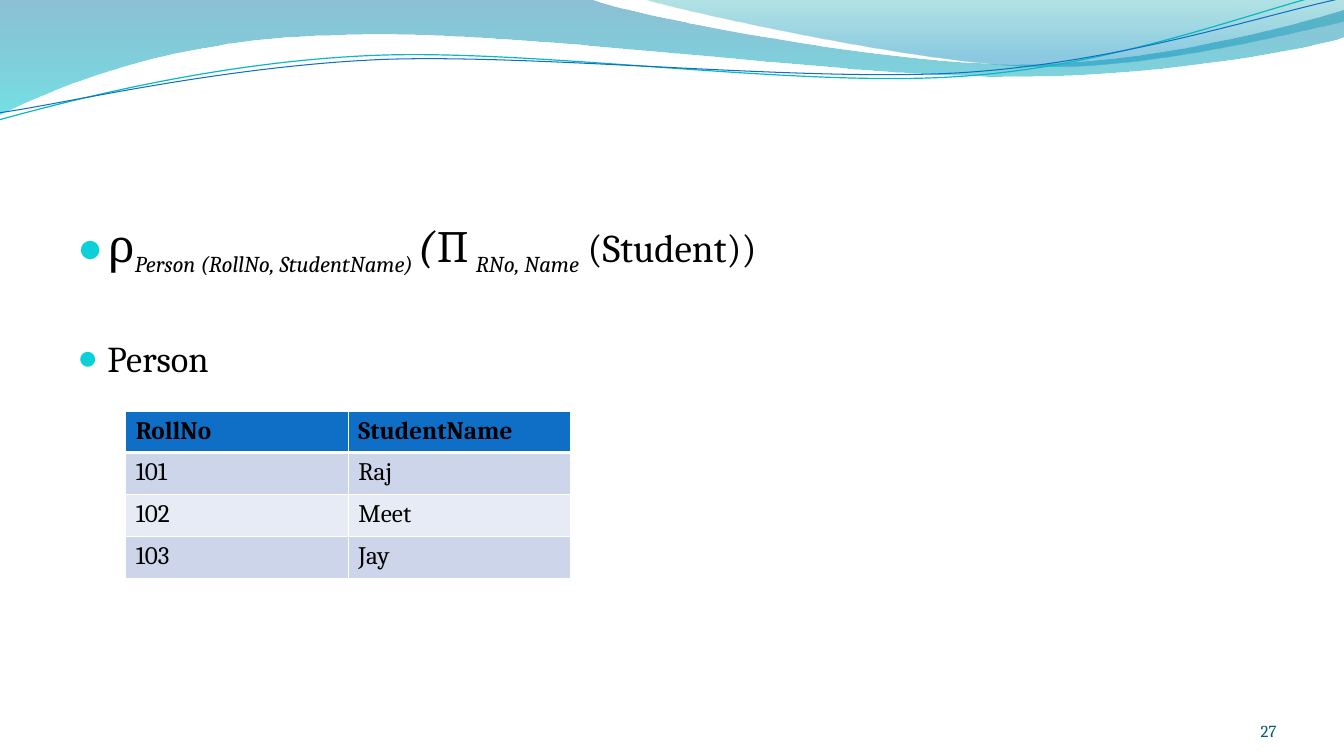
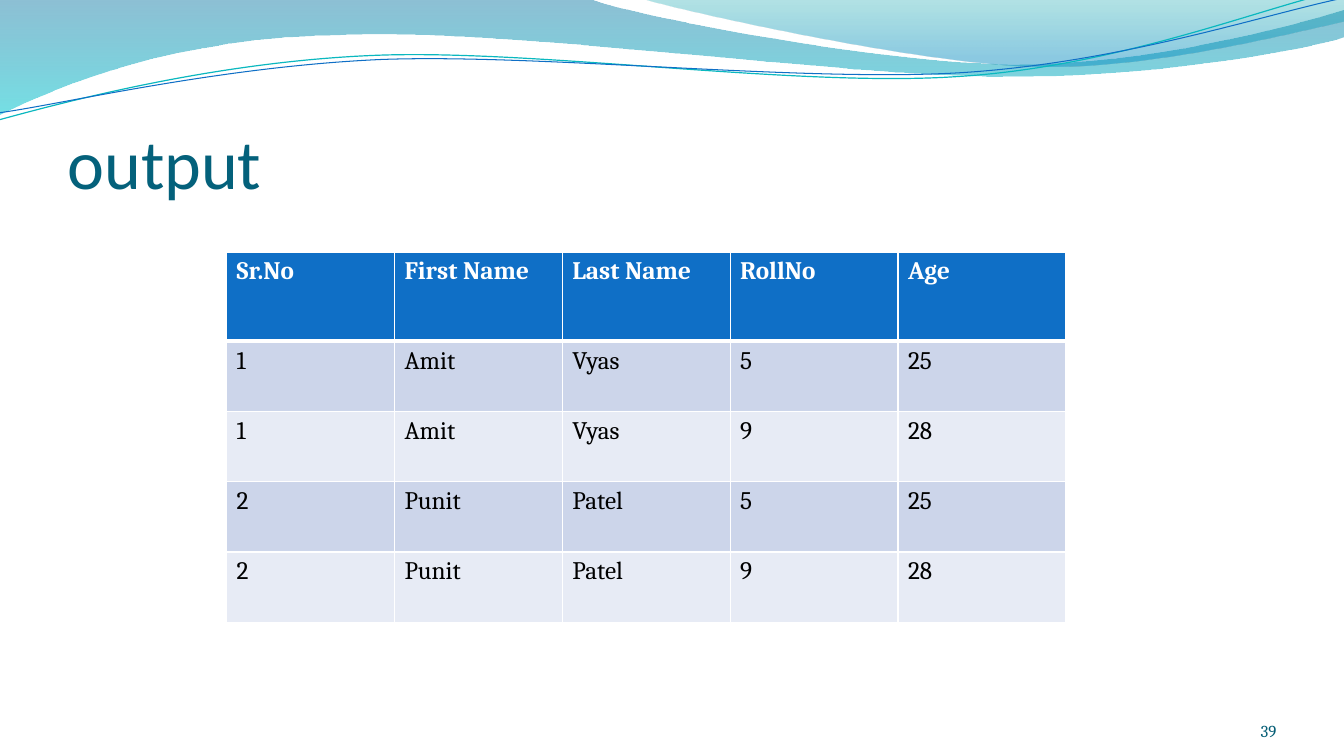
from dataclasses import dataclass
from itertools import chain
from typing import Optional

from lxml.etree import SubElement
from pptx import Presentation
from pptx.dml.color import RGBColor
from pptx.enum.text import MSO_ANCHOR, PP_ALIGN
from pptx.oxml.ns import qn
from pptx.shapes.autoshape import Shape
from pptx.slide import Slide
from pptx.table import _Cell
from pptx.text.text import TextFrame, _Paragraph
from pptx.util import Cm, Pt

BLACK = RGBColor(0x00, 0x00, 0x00)
WHITE = RGBColor(0xFF, 0xFF, 0xFF)
TITLE_TEAL = RGBColor(0x04, 0x61, 0x7B)
NUMBER_TEAL = RGBColor(0x04, 0x5D, 0x75)
BULLET_AQUA = RGBColor(0x0B, 0xD0, 0xD9)
HEADER_BLUE = RGBColor(0x0F, 0x6F, 0xC6)
ODD_ROW = RGBColor(0xCC, 0xD5, 0xEA)
EVEN_ROW = RGBColor(0xE7, 0xEB, 0xF5)
STRAND_TEAL = RGBColor(0x0A, 0xB8, 0xBF)
BAND_BLUE = RGBColor(0x00, 0x74, 0xA1)
BAND_AQUA = RGBColor(0x00, 0xC6, 0xCF)
CREST_TEAL = RGBColor(0x00, 0xA1, 0xA9)
CREST_BLUE = RGBColor(0x00, 0x8B, 0xBF)

BODY_FONT = "Cambria"
TITLE_FONT = "Calibri"
SUBSCRIPT = -25000

Point = tuple[float, float]


@dataclass(frozen=True)
class Stop:
    position: float
    color: RGBColor
    opacity: int


@dataclass(frozen=True)
class Wave:
    start: Point
    segments: tuple[tuple[Point, ...], ...]
    stops: tuple[Stop, ...] = ()
    stroke: Optional[RGBColor] = None
    weight: float = 0


@dataclass(frozen=True)
class Words:
    text: str
    size: float
    color: RGBColor = BLACK
    font: str = BODY_FONT
    bold: bool = False
    italic: bool = False
    baseline: int = 0


@dataclass(frozen=True)
class Grid:
    left: float
    top: float
    column_width: float
    header_height: float
    row_height: float
    header_color: RGBColor
    header_anchor: MSO_ANCHOR
    rows: tuple[tuple[str, ...], ...]


WAVES = (
    Wave(
        (0, 0),
        (
            ((14.91, -0.02),),
            ((16.1, 0.43), (22.45, 1.61), (25.68, 1.61)),
            ((28.88, 1.61), (32.44, 0.67), (33.86, 0.24)),
            ((33.88, 0.93),),
            ((33.3, 1.13), (29.44, 1.94), (25.25, 1.92)),
            ((21.06, 1.91), (12.93, 0.72), (8.71, 0.87)),
            ((4.37, 0.92), (1.55, 2.12), (-0.02, 2.88)),
        ),
        stops=(Stop(0, BAND_BLUE, 45), Stop(1, BAND_AQUA, 55)),
    ),
    Wave(
        (16.23, -0.02),
        (
            ((17.25, 0.28), (23.09, 1.58), (26.04, 1.66)),
            ((28.96, 1.75), (32.56, 0.81), (33.86, 0.54)),
            ((33.86, 0),),
        ),
        stops=(Stop(0, CREST_TEAL, 30), Stop(0.8, CREST_BLUE, 45)),
    ),
    Wave(
        (-0.02, 3.02),
        (
            ((1.63, 2.57), (5.36, 1.57), (9.37, 1.4)),
            ((13.39, 1.22), (20.04, 2.21), (24.13, 1.93)),
            ((28.19, 1.68), (31.78, 0.2), (33.81, -0.25)),
        ),
        stroke=STRAND_TEAL,
        weight=0.85,
    ),
    Wave(
        (0, 2.84),
        (
            ((1.6, 2.62), (5.54, 1.68), (9.6, 1.5)),
            ((13.64, 1.35), (20.22, 2.08), (24.26, 1.83)),
            ((28.3, 1.57), (31.88, 0.36), (33.86, -0.05)),
        ),
        stroke=HEADER_BLUE,
        weight=0.75,
    ),
)

EXPRESSION = (
    Words("ρ", 32),
    Words("Person (RollNo, StudentName) ", 28, italic=True, baseline=SUBSCRIPT),
    Words("(", 32, italic=True),
    Words("∏", 32),
    Words(" RNo, Name", 28, italic=True, baseline=SUBSCRIPT),
    Words(" (Student))", 28),
)

PERSON = Grid(
    3.17, 10.36, 5.61, 1.04, 1.06, BLACK, MSO_ANCHOR.MIDDLE,
    (("RollNo", "StudentName"), ("101", "Raj"), ("102", "Meet"), ("103", "Jay")),
)

OUTPUT = Grid(
    5.71, 6.35, 4.23, 2.25, 1.77, WHITE, MSO_ANCHOR.TOP,
    (
        ("Sr.No", "First Name", "Last Name", "RollNo", "Age"),
        ("1", "Amit", "Vyas", "5", "25"),
        ("1", "Amit", "Vyas", "9", "28"),
        ("2", "Punit", "Patel", "5", "25"),
        ("2", "Punit", "Patel", "9", "28"),
    ),
)


def bend(outline: Shape, segments: tuple[tuple[Point, ...], ...]) -> None:
    lines = iter(list(outline._element.iter(qn("a:lnTo"))))
    for segment in segments:
        first, *others = [next(lines) for _ in segment]
        if others:
            first.tag = qn("a:cubicBezTo")
            for line in others:
                first.append(line[0])
                line.getparent().remove(line)


def paint_gradient(band: Shape, stops: tuple[Stop, ...]) -> None:
    band.fill.gradient()
    band.fill.gradient_angle = 270
    for target, stop in zip(band.fill.gradient_stops, stops):
        target.position = stop.position
        target.color.rgb = stop.color
    for color, stop in zip(band._element.spPr.iter(qn("a:srgbClr")), stops):
        SubElement(color, qn("a:alpha"), val=str(stop.opacity * 1000))


def draw_wave(slide: Slide, wave: Wave) -> None:
    builder = slide.shapes.build_freeform(Cm(wave.start[0]), Cm(wave.start[1]), scale=1.0)
    points = [(Cm(x), Cm(y)) for x, y in chain.from_iterable(wave.segments)]
    builder.add_line_segments(points, close=bool(wave.stops))
    outline = builder.convert_to_shape()
    bend(outline, wave.segments)
    outline.shadow.inherit = False
    if wave.stops:
        paint_gradient(outline, wave.stops)
        outline.line.fill.background()
    else:
        outline.fill.background()
        outline.line.color.rgb = wave.stroke
        outline.line.width = Pt(wave.weight)


def add_words(paragraph: _Paragraph, words: Words) -> None:
    run = paragraph.add_run()
    run.text = words.text
    run.font.size = Pt(words.size)
    run.font.name = words.font
    run.font.bold = words.bold
    run.font.italic = words.italic
    run.font.color.rgb = words.color
    if words.baseline:
        run._r.get_or_add_rPr().set("baseline", str(words.baseline))


def add_frame(slide: Slide, left: float, top: float, width: float, height: float) -> TextFrame:
    frame = slide.shapes.add_textbox(Cm(left), Cm(top), Cm(width), Cm(height)).text_frame
    frame.word_wrap = True
    return frame


def set_insets(frame: TextFrame, top: float = 0) -> None:
    frame.margin_left = frame.margin_right = frame.margin_bottom = Cm(0)
    frame.margin_top = Cm(top)


def add_title(slide: Slide, title: str) -> None:
    frame = add_frame(slide, 1.7, 1.96, 30.48, 3.17)
    set_insets(frame, 0.13)
    frame.vertical_anchor = MSO_ANCHOR.BOTTOM
    add_words(frame.paragraphs[0], Words(title, 50, TITLE_TEAL, TITLE_FONT))


def add_number(slide: Slide, number: int) -> None:
    frame = add_frame(slide, 29.35, 17.65, 2.82, 1.02)
    set_insets(frame)
    frame.vertical_anchor = MSO_ANCHOR.BOTTOM
    frame.paragraphs[0].alignment = PP_ALIGN.RIGHT
    add_words(frame.paragraphs[0], Words(str(number), 12, NUMBER_TEAL))


def set_bullet(paragraph: _Paragraph) -> None:
    properties = paragraph._p.get_or_add_pPr()
    properties.set("marL", str(Cm(0.76)))
    properties.set("indent", str(Cm(-0.76)))
    color = SubElement(properties, qn("a:buClr"))
    SubElement(color, qn("a:srgbClr"), val=str(BULLET_AQUA))
    SubElement(properties, qn("a:buSzPct"), val="95000")
    SubElement(properties, qn("a:buFont"), typeface="Arial")
    SubElement(properties, qn("a:buChar"), char="●")


def add_bullets(slide: Slide, bullets: tuple[tuple[Words, ...], ...], gap: float) -> None:
    frame = add_frame(slide, 1.7, 5.37, 30.48, 12.19)
    for index, bullet in enumerate(bullets):
        paragraph = frame.add_paragraph() if index else frame.paragraphs[0]
        set_bullet(paragraph)
        if index:
            paragraph.space_before = Pt(gap)
        for words in bullet:
            add_words(paragraph, words)


def set_borders(cell: _Cell, top: float, bottom: float) -> None:
    properties = cell._tc.get_or_add_tcPr()
    for side, weight in (("L", 1), ("R", 1), ("T", top), ("B", bottom)):
        border = SubElement(properties, qn(f"a:ln{side}"), w=str(Pt(weight)))
        solid = SubElement(border, qn("a:solidFill"))
        SubElement(solid, qn("a:srgbClr"), val=str(WHITE))


def add_grid(slide: Slide, grid: Grid) -> None:
    row_count, column_count = len(grid.rows), len(grid.rows[0])
    height = grid.header_height + grid.row_height * (row_count - 1)
    table = slide.shapes.add_table(
        row_count, column_count, Cm(grid.left), Cm(grid.top),
        Cm(grid.column_width * column_count), Cm(height),
    ).table
    for column in table.columns:
        column.width = Cm(grid.column_width)
    for index, texts in enumerate(grid.rows):
        header = index == 0
        table.rows[index].height = Cm(grid.header_height if header else grid.row_height)
        shade = HEADER_BLUE if header else ODD_ROW if index % 2 else EVEN_ROW
        color = grid.header_color if header else BLACK
        for cell, text in zip(table.rows[index].cells, texts):
            set_borders(cell, 3 if index == 1 else 1, 3 if header else 1)
            cell.fill.solid()
            cell.fill.fore_color.rgb = shade
            cell.vertical_anchor = grid.header_anchor if header else MSO_ANCHOR.TOP
            add_words(cell.text_frame.paragraphs[0], Words(text, 18, color, bold=header))


def main() -> None:
    deck = Presentation()
    deck.slide_width, deck.slide_height = Cm(33.87), Cm(19.05)
    rename, output = (deck.slides.add_slide(deck.slide_layouts[6]) for _ in range(2))
    for slide, number in ((rename, 27), (output, 39)):
        for wave in WAVES:
            draw_wave(slide, wave)
        add_number(slide, number)
    add_bullets(rename, (EXPRESSION, (Words("Person", 26),)), gap=42)
    add_grid(rename, PERSON)
    add_title(output, "output")
    add_grid(output, OUTPUT)
    deck.save("out.pptx")


if __name__ == "__main__":
    main()
